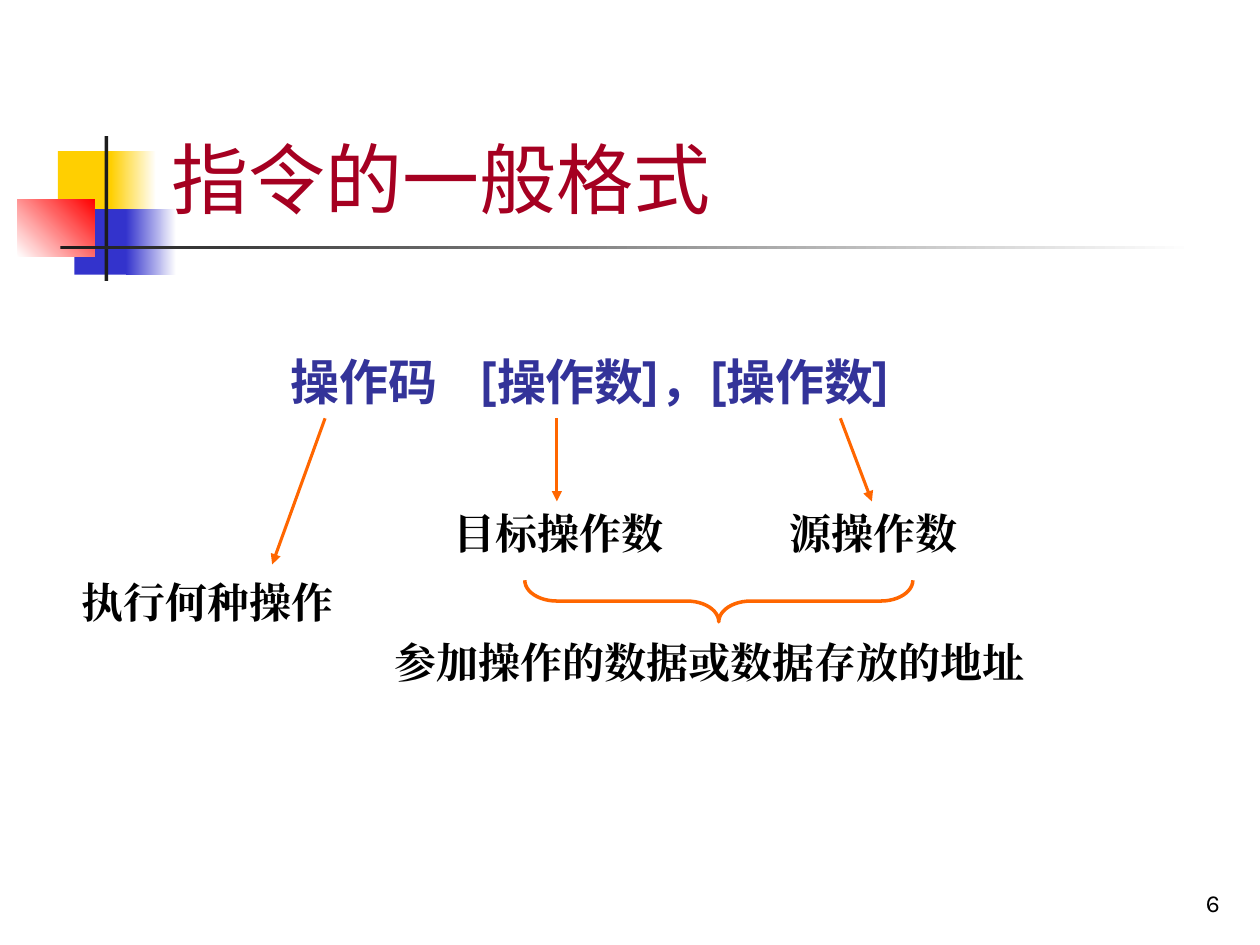
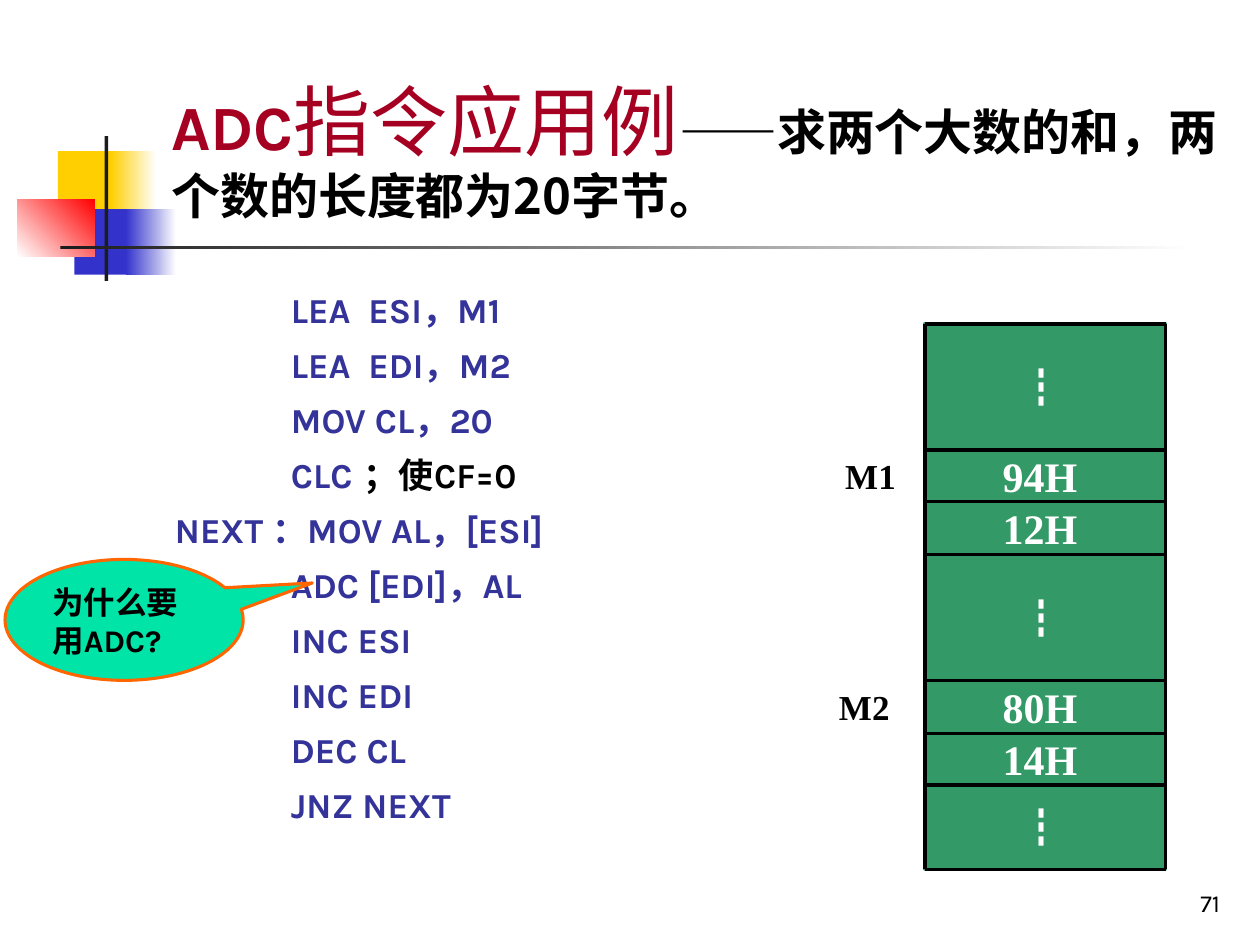
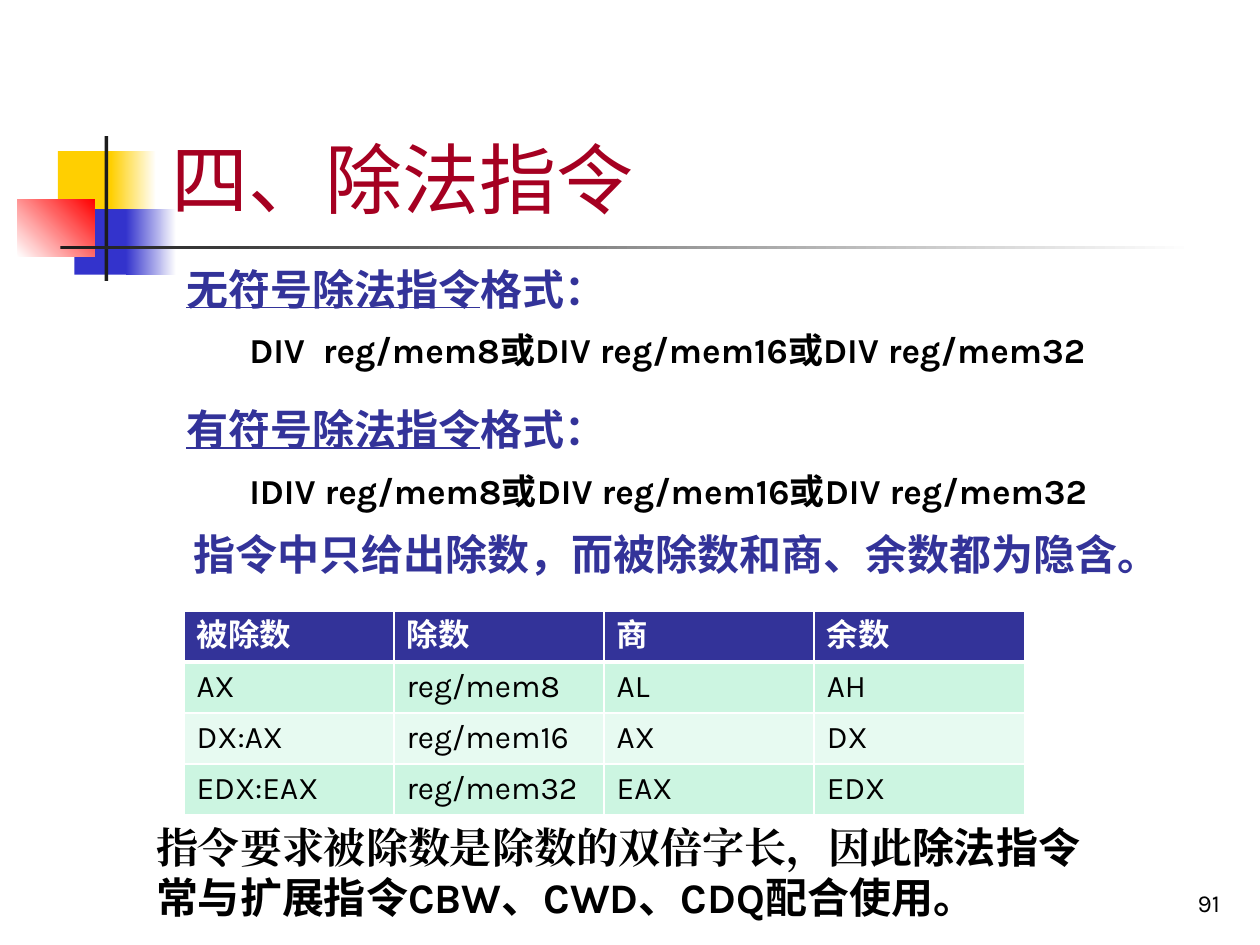
from itertools import accumulate, pairwise

from lxml.etree import SubElement
from pptx import Presentation
from pptx.dml.color import RGBColor
from pptx.enum.shapes import MSO_CONNECTOR, MSO_SHAPE
from pptx.enum.text import MSO_ANCHOR, MSO_AUTO_SIZE, PP_ALIGN
from pptx.oxml.ns import qn
from pptx.util import Inches, Pt

BLACK = RGBColor(0x00, 0x00, 0x00)
WHITE = RGBColor(0xFF, 0xFF, 0xFF)
INK = RGBColor(0x1C, 0x1C, 0x1C)
CRIMSON = RGBColor(0xA5, 0x00, 0x21)
NAVY = RGBColor(0x33, 0x33, 0x99)
ORANGE = RGBColor(0xFF, 0x66, 0x00)
YELLOW = RGBColor(0xFF, 0xCF, 0x01)
BLUE = RGBColor(0x33, 0x33, 0xCC)
RED = RGBColor(0xFF, 0x00, 0x00)
GREEN = RGBColor(0x33, 0x99, 0x66)
MINT = RGBColor(0x00, 0xE4, 0xA8)
ROW_DARK = RGBColor(0xCC, 0xF5, 0xE1)
ROW_LIGHT = RGBColor(0xE7, 0xFA, 0xF1)

KARLA = "Karla"
NOTO = "Noto Sans CJK SC"
TIMES = "Times New Roman"


def inches(*values):
    return [Inches(value) for value in values]


def write(paragraph, content, size=24, color=BLACK, font=KARLA, bold=False, underline=False):
    run = paragraph.add_run()
    run.text = content
    run.font.size = Pt(size)
    run.font.bold = bold
    run.font.underline = underline
    run.font.color.rgb = color
    run.font.name = font
    SubElement(run.font._element, qn("a:ea"), typeface=font)


def add_frame(slide, box):
    frame = slide.shapes.add_textbox(*inches(*box)).text_frame
    frame.word_wrap = True
    return frame


def add_label(slide, box, content, **style):
    frame = add_frame(slide, box)
    write(frame.paragraphs[0], content, **style)
    return frame


def lay_out(paragraph, line=1.1, before=20, left=0, first=0, tab=None):
    paragraph.line_spacing = line
    paragraph.space_before = paragraph.space_after = Pt(0)
    properties = paragraph._p.get_or_add_pPr()
    for tag, percent in (("a:spcBef", before), ("a:spcAft", 5)):
        spacing = properties.find(qn(tag))
        spacing.clear()
        SubElement(spacing, qn("a:spcPct"), val=str(percent * 1000))
    properties.set("marL", str(Inches(left)))
    properties.set("indent", str(Inches(first)))
    if tab:
        stops = SubElement(properties, qn("a:tabLst"))
        SubElement(stops, qn("a:tab"), pos=str(Inches(tab)), algn="l")


def add_body(slide, box, lines):
    frame = add_frame(slide, box)
    for index, (runs, layout) in enumerate(lines):
        paragraph = frame.add_paragraph() if index else frame.paragraphs[0]
        lay_out(paragraph, **layout)
        for content, style in runs:
            write(paragraph, content, bold=True, **style)


def add_figure(slide, preset, box, fill=None, line=None, width=2):
    figure = slide.shapes.add_shape(preset, *inches(*box))
    figure.shadow.inherit = False
    if fill is None:
        figure.fill.background()
    else:
        figure.fill.solid()
        figure.fill.fore_color.rgb = fill
    if line is None:
        figure.line.fill.background()
    else:
        figure.line.color.rgb = line
        figure.line.width = Pt(width)
    return figure


def add_line(slide, start, end, color, width=2, arrow=False):
    line = slide.shapes.add_connector(MSO_CONNECTOR.STRAIGHT, *inches(*start, *end))
    line.line.color.rgb = color
    line.line.width = Pt(width)
    properties = line.element.spPr
    if arrow:
        SubElement(properties.find(qn("a:ln")), qn("a:tailEnd"), type="triangle")
    SubElement(properties, qn("a:effectLst"))


def add_emblem(slide, left, top):
    parts = [
        (0.32, 0.12, 0.48, 0.52, YELLOW, None, 0),
        (0.74, 0.12, 0.36, 0.52, YELLOW, WHITE, 0),
        (0.45, 0.58, 0.46, 0.52, BLUE, None, 0),
        (0.86, 0.58, 0.4, 0.52, BLUE, WHITE, 0),
        (0, 0.5, 0.61, 0.46, WHITE, RED, 45),
        (0.69, 0, 0.03, 1.15, INK, None, 0),
        (0.34, 0.87, 9, 0.03, INK, WHITE, 0),
    ]
    for x, y, width, height, start, end, angle in parts:
        part = add_figure(slide, MSO_SHAPE.RECTANGLE, (left + x, top + y, width, height), start)
        if end is not None:
            part.fill.gradient()
            part.fill.gradient_angle = angle
            for stop, color in zip(part.fill.gradient_stops, (start, end)):
                stop.color.rgb = color


def add_page(deck, number, heading):
    slide = deck.slides.add_slide(deck.slide_layouts[5])
    add_emblem(slide, 0.14, 1.08)

    title = slide.shapes.title
    title.left, title.top, title.width, title.height = inches(1.26, 0.23, 8.52, 1.6)
    frame = title.text_frame
    frame.word_wrap = True
    frame.auto_size = MSO_AUTO_SIZE.NONE
    frame.vertical_anchor = MSO_ANCHOR.BOTTOM
    paragraph = frame.paragraphs[0]
    paragraph.alignment = PP_ALIGN.LEFT
    for content, style in heading:
        write(paragraph, content, **{"size": 44, "color": CRIMSON, **style})
    title.element.getparent().append(title.element)

    footer = add_label(slide, (7.7, 6.83, 2.08, 0.5), str(number), size=14)
    footer.vertical_anchor = MSO_ANCHOR.BOTTOM
    footer.paragraphs[0].alignment = PP_ALIGN.RIGHT
    return slide


def add_instruction_format(slide, left, top):
    syntax = [("操作码\t[操作数]，[操作数]", {"size": 28, "color": NAVY})]
    add_body(slide, (left + 1.66, top, 6.17, 1.08), [(syntax, {"tab": 1.6})])
    meanings = [
        ("执行何种操作", 0, 1.84, 2.75),
        ("目标操作数", 2.95, 1.29, 2.25),
        ("源操作数", 5.62, 1.29, 2.25),
        ("参加操作的数据或数据存放的地址", 2.48, 2.31, 5.28),
    ]
    for meaning, x, y, width in meanings:
        add_label(slide, (left + x, top + y, width, 0.5), meaning, font=TIMES, bold=True)
    for start, end, drop in ((2.03, 1.61, 1.79), (3.87, 3.87, 1.29), (6.12, 6.37, 1.29)):
        add_line(slide, (left + start, top + 0.63), (left + end, top + drop), ORANGE, 1.75, arrow=True)
    brace = add_figure(slide, MSO_SHAPE.LEFT_BRACE, (left + 4.99, top + 0.54, 0.33, 3.08), line=ORANGE)
    brace.rotation = 270
    brace.adjustments[0] = 0.771


def add_program(slide, box):
    code = {"size": 20, "color": NAVY}
    remark = {"size": 20, "color": BLACK}
    indented = {"first": 0.92}
    lines = [([(step, code)], indented) for step in (
        "LEA  ESI，M1", "LEA  EDI，M2", "MOV CL，20", "ADC [EDI]，AL",
        "INC ESI", "INC EDI", "DEC CL", "JNZ NEXT")]
    lines[3:3] = [
        ([("CLC\t", code), ("；使CF=0", remark)], {**indented, "tab": 3.2}),
        ([("NEXT ：MOV AL，[ESI]", code)], {}),
    ]
    add_body(slide, box, lines)


def add_memory(slide, left, top):
    width = 1.91
    cells = [("┇", 1), ("94H", 0.41), ("12H", 0.42), ("┇", 1), ("80H", 0.42), ("14H", 0.41), ("┇", 0.67)]
    edges = list(accumulate((height for _, height in cells), initial=top))
    bottom = edges[-1]
    add_figure(slide, MSO_SHAPE.RECTANGLE, (left, top, width, bottom - top), GREEN, GREEN)
    for x in (left, left + width):
        add_line(slide, (x, top), (x, bottom), BLACK)
    for y in edges:
        add_line(slide, (left, y), (left + width, y), BLACK)
    middles = [(upper + lower) / 2 for upper, lower in pairwise(edges)]
    for (value, _), middle in zip(cells, middles):
        if value == "┇":
            add_label(slide, (left + 0.66, middle - 0.25, 0.67, 0.5), value, color=WHITE, font=NOTO)
        else:
            add_label(slide, (left + 0.52, middle - 0.25, 0.83, 0.5), value,
                      color=WHITE, font=TIMES, bold=True)
    for address, row, offset in (("M1", 1, 0.73), ("M2", 4, 0.78)):
        add_label(slide, (left - offset, middles[row] - 0.22, 0.72, 0.43), address,
                  size=20, font=TIMES, bold=True)


def add_question(slide, box):
    balloon = add_figure(slide, MSO_SHAPE.OVAL_CALLOUT, box, MINT, ORANGE, 1.75)
    balloon.adjustments[0] = 0.79
    balloon.adjustments[1] = -0.305
    frame = balloon.text_frame
    frame.word_wrap = True
    frame.vertical_anchor = MSO_ANCHOR.TOP
    frame.paragraphs[0].alignment = PP_ALIGN.LEFT
    write(frame.paragraphs[0], "为什么要用ADC?", size=18, bold=True)


def add_division_formats(slide, box):
    blue = {"color": NAVY}
    formats = [
        ("无符号除法指令", "DIV  reg/mem8或DIV reg/mem16或DIV reg/mem32", 20),
        ("有符号除法指令", "IDIV reg/mem8或DIV reg/mem16或DIV reg/mem32", 55),
    ]
    lines = []
    for kind, syntax, before in formats:
        lines.append(([(kind, {**blue, "underline": True}), ("格式：", blue)],
                      {"line": 1.15, "before": before, "left": 0.38, "first": -0.38}))
        lines.append(([(syntax, {"size": 20})], {"line": 1.15, "left": 0.5}))
    lines.append(([("指令中只给出除数，而被除数和商、余数都为隐含。", blue)], {"line": 1.15, "left": 0.06}))
    add_body(slide, box, lines)


def add_borders(cell, bottom):
    properties = cell._tc.get_or_add_tcPr()
    for index, (side, width) in enumerate((("L", 1), ("R", 1), ("T", 1), ("B", bottom))):
        border = properties.makeelement(qn(f"a:ln{side}"), {"w": str(Pt(width))})
        SubElement(SubElement(border, qn("a:solidFill")), qn("a:srgbClr"), val=str(WHITE))
        properties.insert(index, border)


def add_operands(slide, box):
    rows = [
        ("被除数", "除数", "商", "余数"),
        ("AX", "reg/mem8", "AL", "AH"),
        ("DX:AX", "reg/mem16", "AX", "DX"),
        ("EDX:EAX", "reg/mem32", "EAX", "EDX"),
    ]
    fills = (NAVY, ROW_DARK, ROW_LIGHT, ROW_DARK)
    table = slide.shapes.add_table(len(rows), len(rows[0]), *inches(*box)).table
    for r, (row, fill) in enumerate(zip(rows, fills)):
        header = r == 0
        for c, value in enumerate(row):
            cell = table.cell(r, c)
            cell.fill.solid()
            cell.fill.fore_color.rgb = fill
            write(cell.text_frame.paragraphs[0], value, size=18,
                  color=WHITE if header else BLACK, bold=header)
            add_borders(cell, 3 if header else 1)


def add_conclusion(slide, box):
    frame = add_label(slide, box, "指令要求被除数是除数的双倍字长，因此", font=TIMES, bold=True)
    write(frame.paragraphs[0], "除法指令常与扩展指令CBW、CWD、CDQ配合使用。", bold=True)


def main():
    deck = Presentation()
    deck.slide_width, deck.slide_height = inches(10, 7.5)

    instruction = add_page(deck, 6, [("指令的一般格式", {})])
    add_instruction_format(instruction, 0.55, 2.69)

    addition = add_page(deck, 71, [
        ("ADC", {"size": 36, "bold": True}),
        ("指令应用例", {}),
        ("——求两个大数的和，两个数的长度都为20字节。",
         {"size": 28, "color": BLACK, "font": NOTO, "bold": True}),
    ])
    add_program(addition, (1.29, 2.21, 5.28, 5.01))
    add_memory(addition, 7.34, 2.57)
    add_question(addition, (0.04, 4.44, 1.89, 0.96))

    division = add_page(deck, 91, [("四、除法指令", {})])
    add_division_formats(division, (1.38, 1.98, 8.58, 2.87))
    add_operands(division, (1.46, 4.85, 6.67, 1.62))
    add_conclusion(division, (1.14, 6.47, 7.8, 0.91))

    deck.save("out.pptx")


if __name__ == "__main__":
    main()
